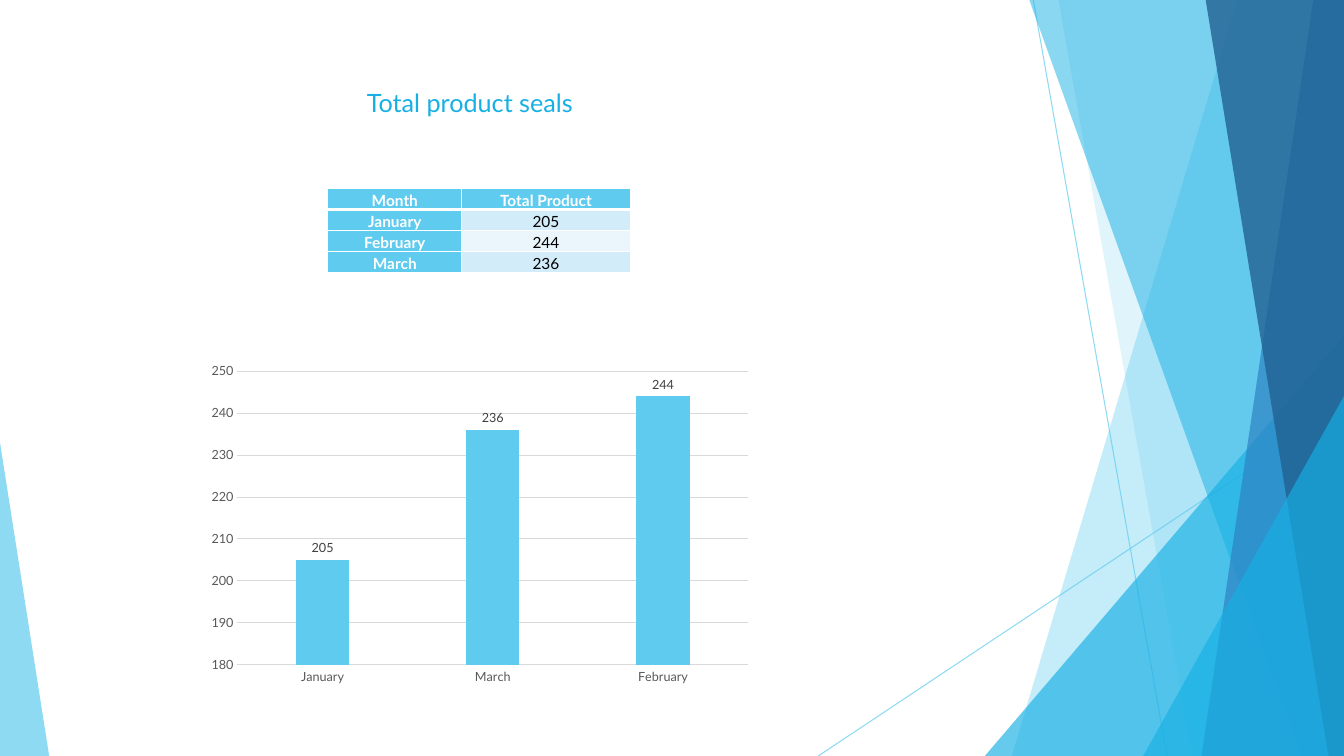
from lxml import etree
from pptx import Presentation
from pptx import util as u
from pptx.chart.data import CategoryChartData
from pptx.dml import color
from pptx.enum import chart as ch, shapes, text
from pptx.oxml import parse_xml
from pptx.oxml.ns import nsdecls, qn

FONT = "Lato"
SKY, AZURE, BLUE, NAVY = "5FCBEF", "17B0E4", "2E83C3", "226292"
WIDTH, HEIGHT = 33.87, 19.05


def box(*lengths):
    return [u.Cm(length) for length in lengths]


def paint(target, hex_color, opacity=100):
    target.solid()
    target.fore_color.rgb = color.RGBColor.from_string(hex_color)
    if opacity < 100:
        for node in target._xPr.iter(qn("a:srgbClr")):
            etree.SubElement(node, qn("a:alpha"), val=str(opacity * 1000))


def style_font(font, size, hex_color, bold=False):
    font.name = FONT
    font.size = u.Pt(size)
    font.bold = bold
    paint(font.fill, hex_color)


def write(frame, words, size=11, hex_color="000000", bold=False,
          align=text.PP_ALIGN.LEFT, spacing=1.0):
    paragraph = frame.paragraphs[0]
    paragraph.alignment = align
    paragraph.line_spacing = spacing
    run = paragraph.add_run()
    run.text = words
    style_font(run.font, size, hex_color, bold)


def finish_facet(shape, hex_color, opacity):
    shape.shadow.inherit = False
    paint(shape.fill, hex_color, opacity)
    shape.line.fill.background()


def add_line(slide, *ends):
    line = slide.shapes.add_connector(shapes.MSO_CONNECTOR.STRAIGHT, *box(*ends))
    line.line.width = u.Pt(0.75)
    paint(line.line.fill, SKY, 70)
    etree.SubElement(line._element.spPr, qn("a:effectLst"))


def add_band(slide, top_left, bottom_left, hex_color, opacity):
    builder = slide.shapes.build_freeform(*box(top_left, -0.03))
    corners = [(WIDTH, -0.03), (WIDTH, HEIGHT), (bottom_left, HEIGHT)]
    builder.add_line_segments([box(*corner) for corner in corners])
    finish_facet(builder.convert_to_shape(), hex_color, opacity)


def add_triangle(slide, left, top, width, apex, hex_color, opacity):
    triangle = slide.shapes.add_shape(
        shapes.MSO_SHAPE.ISOSCELES_TRIANGLE, *box(left, top, width, HEIGHT - top))
    triangle.adjustments[0] = apex
    finish_facet(triangle, hex_color, opacity)


def add_facets(slide):
    add_line(slide, 26.04, 0, 29.41, HEIGHT)
    add_line(slide, WIDTH, 10.24, 20.62, HEIGHT)
    add_band(slide, 31.19, 25.5, SKY, 36)
    add_band(slide, 26.67, 30.05, SKY, 20)
    add_triangle(slide, 24.82, 8.46, 9.05, 1, AZURE, 66)
    add_band(slide, 25.93, 32.79, AZURE, 50)
    add_band(slide, 33.1, 30.28, BLUE, 70)
    add_band(slide, 30.38, 33.48, NAVY, 80)
    add_triangle(slide, 28.81, 9.98, 5.06, 1, AZURE, 66)
    add_triangle(slide, 0, 11.15, 1.24, 0, SKY, 70)


def add_title(slide, words):
    title = slide.shapes.title
    title.left, title.top, title.width, title.height = box(8.99, 2.08, 10.95, 1.02)
    frame = title.text_frame
    frame.word_wrap = True
    frame.auto_size = text.MSO_AUTO_SIZE.SHAPE_TO_FIT_TEXT
    frame.vertical_anchor = text.MSO_ANCHOR.TOP
    write(frame, words, size=18, hex_color=AZURE)


def set_borders(cell, **widths):
    properties = cell._tc.get_or_add_tcPr()
    for index, side in enumerate("LRTB"):
        width = u.Pt(widths.get(side, 1))
        properties.insert(index, parse_xml(
            f'<a:ln{side} {nsdecls("a")} w="{width}"><a:solidFill>'
            f'<a:srgbClr val="FFFFFF"/></a:solidFill></a:ln{side}>'))


def add_sales_table(slide, rows):
    table = slide.shapes.add_table(
        len(rows), 2, *box(8.26, 4.75, 7.62, 0.53 * len(rows))).table
    table.horz_banding = False
    for column, width in zip(table.columns, (3.38, 4.24)):
        column.width = u.Cm(width)
    for r, values in enumerate(rows):
        table.rows[r].height = u.Cm(0.53)
        for c, value in enumerate(values):
            cell = table.cell(r, c)
            heading = r == 0 or c == 0
            cell.margin_left = cell.margin_right = u.Cm(0.18)
            cell.margin_top = cell.margin_bottom = 0
            cell.vertical_anchor = text.MSO_ANCHOR.BOTTOM
            paint(cell.fill, SKY if heading else ("EAF6FC", "D2ECF9")[r % 2])
            set_borders(cell, B=3 if r == 0 else 1, T=3 if r == 1 else 1)
            write(cell.text_frame, value, bold=heading, spacing=1.07,
                  hex_color="FFFFFF" if heading else "000000",
                  align=text.PP_ALIGN.CENTER)


def format_axis(axis):
    axis.major_tick_mark = axis.minor_tick_mark = ch.XL_TICK_MARK.NONE
    style_font(axis.tick_labels.font, 9, "595959")


def place_plot(chart, **position):
    area = chart._chartSpace.chart.plotArea
    for layout in area.findall(qn("c:layout")):
        area.remove(layout)
    parts = "".join(f'<c:{name} val="{value}"/>' for name, value in position.items())
    area.insert(0, parse_xml(
        f'<c:layout {nsdecls("c")}><c:manualLayout><c:layoutTarget val="inner"/>'
        f'<c:xMode val="edge"/><c:yMode val="edge"/>{parts}'
        '</c:manualLayout></c:layout>'))


def add_sales_chart(slide, months, totals):
    data = CategoryChartData()
    data.categories = months
    data.add_series("Series 1", totals)
    chart = slide.shapes.add_chart(
        ch.XL_CHART_TYPE.COLUMN_CLUSTERED, *box(4.8, 9.07, 14.27, 8.59), data).chart
    chart.has_legend = chart.has_title = False
    style_font(chart.font, 10, "000000")
    place_plot(chart, x=0.083, y=0.033, w=0.902, h=0.862)

    months_axis, totals_axis = chart.category_axis, chart.value_axis
    format_axis(months_axis)
    format_axis(totals_axis)
    totals_axis.minimum_scale, totals_axis.maximum_scale = 180, 250
    totals_axis.major_unit = 10
    totals_axis.format.line.fill.background()
    for line in (months_axis.format.line, totals_axis.major_gridlines.format.line):
        line.width = u.Pt(0.75)
        paint(line.fill, "D9D9D9")

    plot = chart.plots[0]
    plot.gap_width, plot.overlap = 219, -27
    plot.vary_by_categories = False
    paint(plot.series[0].format.fill, SKY)
    labels = plot.series[0].data_labels
    labels.show_value = True
    labels.position = ch.XL_LABEL_POSITION.OUTSIDE_END
    style_font(labels.font, 9, "404040")


def main():
    presentation = Presentation()
    presentation.slide_width, presentation.slide_height = box(WIDTH, HEIGHT)
    slide = presentation.slides.add_slide(presentation.slide_layouts[5])
    add_facets(slide)
    add_title(slide, "Total product seals")
    add_sales_table(slide, [("Month", "Total Product"), ("January", "205"),
                            ("February", "244"), ("March", "236")])
    add_sales_chart(slide, ["January", "March", "February"], [205, 236, 244])
    presentation.save("out.pptx")


if __name__ == "__main__":
    main()
